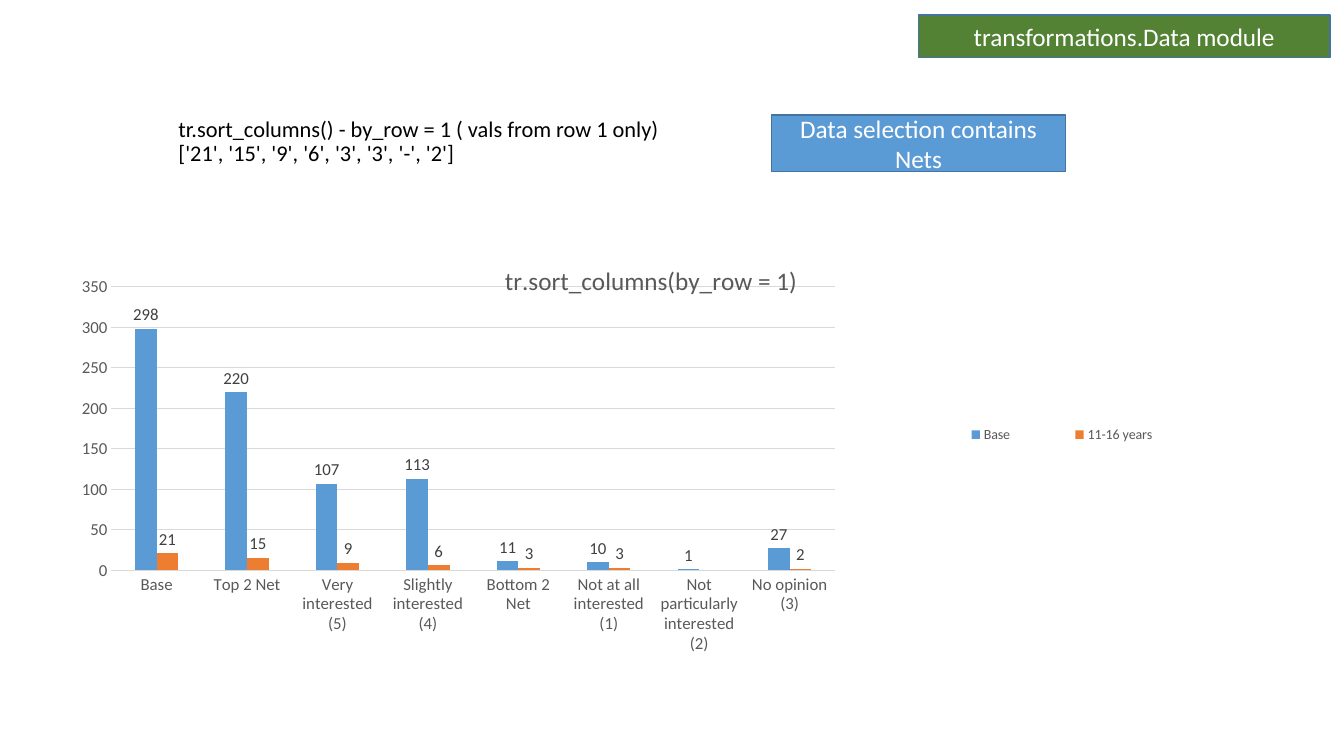
from pptx import Presentation
from pptx.chart.data import CategoryChartData
from pptx.dml.color import RGBColor as RGB
from pptx.enum.chart import XL_CHART_TYPE as Kind, XL_LABEL_POSITION as Spot
from pptx.enum.chart import XL_LEGEND_POSITION as Side, XL_TICK_MARK as Tick
from pptx.enum.shapes import MSO_SHAPE as Form
from pptx.enum.text import MSO_ANCHOR as Anchor, PP_ALIGN as Align
from pptx.oxml.ns import qn
from pptx.util import Inches, Pt
from lxml import etree

HUES = {
    "black": "000000", "white": "FFFFFF", "green": "548235", "blue": "5B9BD5",
    "edge": "43739E", "orange": "ED7D31", "grid": "D9D9D9", "axis": "595959",
    "label": "404040",
}


def style(font, size, hue):
    font.name = "Calibri"
    font.size = Pt(size)
    font.bold = False
    font.color.rgb = RGB.from_string(HUES[hue])


def place(part, **sizes):
    """Give a chart part a manual layout, in fractions of the chart."""
    old = part.find(qn("c:layout"))
    if old is not None:
        part.remove(old)
    layout = etree.Element(qn("c:layout"))
    manual = etree.SubElement(layout, qn("c:manualLayout"))
    if part.tag == qn("c:plotArea"):
        etree.SubElement(manual, qn("c:layoutTarget")).set("val", "inner")
    for mode in ("xMode", "yMode"):
        etree.SubElement(manual, qn("c:" + mode)).set("val", "edge")
    for name, size in sizes.items():
        etree.SubElement(manual, qn("c:" + name)).set("val", str(size))
    after = part.find(qn("c:overlay"))
    if after is None:
        part.insert(0, layout)
    else:
        after.addprevious(layout)


deck = Presentation()
deck.slide_width, deck.slide_height = Inches(13.33), Inches(7.5)
slide = deck.slides.add_slide(deck.slide_layouts[5])

# Title
title = slide.shapes.title
title.left, title.top = Inches(1.67), Inches(0.94)
title.width, title.height = Inches(10), Inches(0.76)
frame = title.text_frame
frame.text = ("tr.sort_columns() - by_row = 1 ( vals from row 1 only)\v"
              "['21', '15', '9', '6', '3', '3', '-', '2']")
frame.vertical_anchor = Anchor.BOTTOM
frame.word_wrap = True
para = frame.paragraphs[0]
para.alignment = Align.LEFT
para.line_spacing = 0.9
for run in para.runs:
    style(run.font, 16, "black")

# Chart data
data = CategoryChartData(number_format="0")
data.categories = [
    "Base", "Top 2 Net", "Very interested (5)", "Slightly interested (4)",
    "Bottom 2 Net", "Not at all interested (1)",
    "Not particularly interested (2)", "No opinion (3)",
]
data.add_series("Base", [298, 220, 107, 113, 11, 10, 1, 27])
data.add_series("11-16 years", [21, 15, 9, 6, 3, 3, None, 2])
chart = slide.shapes.add_chart(
    Kind.COLUMN_CLUSTERED, Inches(0.53), Inches(2.35),
    Inches(11.98), Inches(4.36), data).chart
style(chart.font, 10, "black")

# Chart title, legend and plot area
head = chart.chart_title
head.text_frame.text = "tr.sort_columns(by_row = 1)"
style(head.text_frame.paragraphs[0].runs[0].font, 18, "axis")
place(head._element, x=0.37, y=0.05)

chart.has_legend = True
legend = chart.legend
legend.position = Side.RIGHT
legend.include_layout = False
style(legend.font, 10, "axis")
place(legend._element, x=0.71, y=0.4, w=0.25, h=0.1)

area = next(chart._chartSpace.iter(qn("c:plotArea")))
place(area, x=0.048, y=0.114, w=0.599, h=0.645)

# Axes
cats, vals = chart.category_axis, chart.value_axis
for axis in (cats, vals):
    axis.major_tick_mark = axis.minor_tick_mark = Tick.NONE
    style(axis.tick_labels.font, 12, "axis")
vals.minimum_scale, vals.maximum_scale, vals.major_unit = 0, 350, 50
vals.format.line.fill.background()
for line in (cats.format.line, vals.major_gridlines.format.line):
    line.color.rgb = RGB.from_string(HUES["grid"])
    line.width = Pt(0.75)

# Columns and their labels
plot = chart.plots[0]
plot.gap_width, plot.overlap = 219, 0
plot.vary_by_categories = False
for row, hue in zip(plot.series, ("blue", "orange")):
    row.format.fill.solid()
    row.format.fill.fore_color.rgb = RGB.from_string(HUES[hue])
    row.invert_if_negative = False
    labels = row.data_labels
    labels.show_value = True
    labels.position = Spot.OUTSIDE_END
    labels.number_format, labels.number_format_is_linked = "0", False
    style(labels.font, 12, "label")

# Module tag and data note
for text, hue, *box in (
    ("transformations.Data module", "green", 9.11, 0.15, 4.08, 0.42),
    ("Data selection contains Nets", "blue", 7.65, 1.14, 2.92, 0.56),
):
    tag = slide.shapes.add_shape(Form.RECTANGLE, *map(Inches, box))
    tag.shadow.inherit = False
    tag.fill.solid()
    tag.fill.fore_color.rgb = RGB.from_string(HUES[hue])
    tag.line.color.rgb = RGB.from_string(HUES["edge"])
    tag.line.width = Pt(1)
    frame = tag.text_frame
    frame.text = text
    frame.word_wrap = True
    frame.vertical_anchor = Anchor.MIDDLE
    para = frame.paragraphs[0]
    para.alignment = Align.CENTER
    style(para.runs[0].font, 18, "white")

deck.save("out.pptx")
